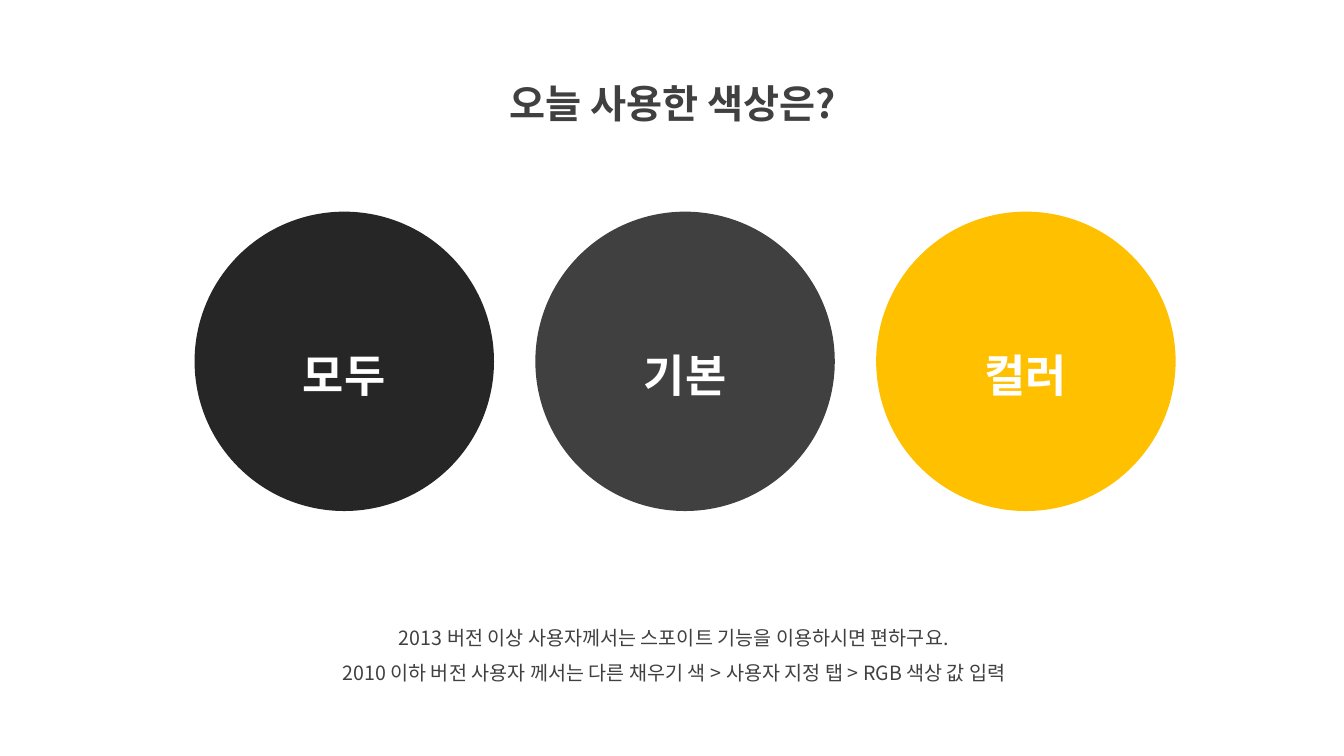
from lxml import etree
from pptx import Presentation
from pptx import util as u
from pptx.dml.color import RGBColor
from pptx.enum import shapes, text
from pptx.oxml.ns import qn

FONT = "Noto Sans CJK KR"
DARK_GRAY = "404040"


def color(value):
    return RGBColor.from_string(value)


def write(shape, lines, size, font_color, bold, anchor, auto_size):
    frame = shape.text_frame
    frame.text = "\n".join(lines)
    frame.word_wrap = True
    frame.vertical_anchor = anchor
    frame.auto_size = auto_size
    for paragraph in frame.paragraphs:
        paragraph.alignment = text.PP_ALIGN.CENTER
        paragraph.line_spacing = 1.5
        font = paragraph.font
        font.name = FONT
        font.size = u.Pt(size)
        font.bold = bold
        font.color.rgb = color(font_color)
        # Korean letters take the East Asian typeface
        properties = paragraph._p.pPr.find(qn("a:defRPr"))
        etree.SubElement(properties, qn("a:ea"), typeface=FONT)


presentation = Presentation()
presentation.slide_width = u.Inches(13.33)
presentation.slide_height = u.Inches(7.5)
slide = presentation.slides.add_slide(presentation.slide_layouts[5])
top = text.MSO_ANCHOR.TOP
grow = text.MSO_AUTO_SIZE.SHAPE_TO_FIT_TEXT

# Title
title = slide.shapes.title
title.left, title.top = u.Inches(4.36), u.Inches(0.5)
title.width, title.height = u.Inches(4.63), u.Inches(0.72)
write(title, ["오늘 사용한 색상은?"], 28, DARK_GRAY, True, top, grow)

# Instructions
instructions = slide.shapes.add_textbox(
    u.Inches(2.69), u.Inches(6.04), u.Inches(7.99), u.Inches(0.81))
write(instructions, [
    "2013 버전 이상 사용자께서는 스포이트 기능을 이용하시면 편하구요.",
    "2010 이하 버전 사용자 께서는 다른 채우기 색 > 사용자 지정 탭 > RGB 색상 값 입력",
], 14, DARK_GRAY, False, top, grow)

# Colour circles
diameter = u.Inches(2.97)
swatches = [("모두", "262626"), ("기본", DARK_GRAY), ("컬러", "FFC000")]
for index, (label, fill) in enumerate(swatches):
    circle = slide.shapes.add_shape(
        shapes.MSO_SHAPE.OVAL, u.Inches(1.93 + 3.38 * index), u.Inches(2.1),
        diameter, diameter)
    circle.shadow.inherit = False
    circle.fill.solid()
    circle.fill.fore_color.rgb = color(fill)
    circle.line.fill.background()
    write(circle, [label], 32, "FFFFFF", True,
          text.MSO_ANCHOR.MIDDLE, text.MSO_AUTO_SIZE.NONE)

presentation.save("out.pptx")
